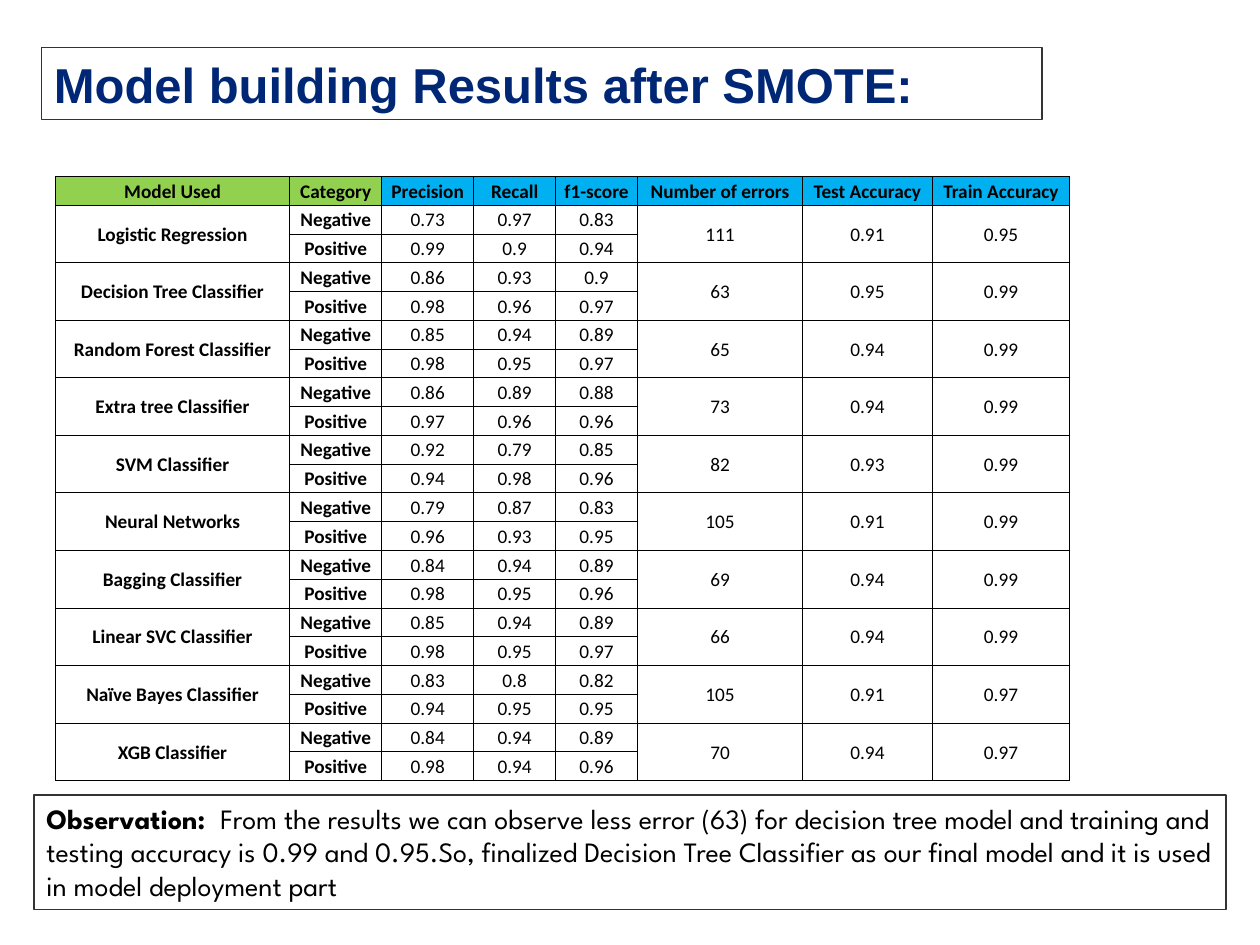
"""Build the slide of model results after SMOTE."""
from dataclasses import dataclass

from lxml.etree import SubElement
from pptx import Presentation
from pptx.dml.color import RGBColor
from pptx.enum.shapes import MSO_SHAPE
from pptx.enum.text import MSO_ANCHOR, MSO_AUTO_SIZE, PP_ALIGN
from pptx.oxml.ns import qn
from pptx.util import Inches, Pt


@dataclass(frozen=True)
class Theme:
    navy: str = "002776"
    black: str = "000000"
    white: str = "FFFFFF"
    outline: str = "333333"
    green: str = "92D050"
    blue: str = "00B0F0"
    title_font: str = "Arial"
    table_font: str = "Calibri"
    note_font: str = "League Spartan"
    title_size: float = 28
    table_size: float = 11
    note_size: float = 16
    outline_width: float = 0.75
    border_width: float = 0.5


COLUMN_WIDTHS = [1.86, 0.73, 0.73, 0.65, 0.65, 1.31, 1.03, 1.09]
HEADERS = ["Model Used", "Category", "Precision", "Recall", "f1-score",
           "Number of errors", "Test Accuracy", "Train Accuracy"]
RESULTS = [
    ("Logistic Regression", "0.73 0.97 0.83", "0.99 0.9 0.94", "111 0.91 0.95"),
    ("Decision Tree Classifier", "0.86 0.93 0.9", "0.98 0.96 0.97", "63 0.95 0.99"),
    ("Random Forest Classifier", "0.85 0.94 0.89", "0.98 0.95 0.97", "65 0.94 0.99"),
    ("Extra tree Classifier", "0.86 0.89 0.88", "0.97 0.96 0.96", "73 0.94 0.99"),
    ("SVM Classifier", "0.92 0.79 0.85", "0.94 0.98 0.96", "82 0.93 0.99"),
    ("Neural Networks", "0.79 0.87 0.83", "0.96 0.93 0.95", "105 0.91 0.99"),
    ("Bagging Classifier", "0.84 0.94 0.89", "0.98 0.95 0.96", "69 0.94 0.99"),
    ("Linear SVC Classifier", "0.85 0.94 0.89", "0.98 0.95 0.97", "66 0.94 0.99"),
    ("Naïve Bayes Classifier", "0.83 0.8 0.82", "0.94 0.95 0.95", "105 0.91 0.97"),
    ("XGB Classifier", "0.84 0.94 0.89", "0.98 0.94 0.96", "70 0.94 0.97"),
]
LABEL_COLUMNS = 2
MERGED_COLUMNS = (0, 5, 6, 7)
OBSERVATION = (
    "From the results we can observe less error (63) for decision tree model "
    "and training and testing accuracy is 0.99 and 0.95.So, finalized Decision "
    "Tree Classifier as our final model and it is used in model deployment part"
)


class SlideBuilder:
    def __init__(self, slide, theme):
        self.slide = slide
        self.theme = theme

    def apply(self, target, formats):
        for name, value in formats.items():
            setattr(target, name, value)

    def run(self, paragraph, text, font, size, color, bold):
        run = paragraph.add_run()
        run.text = text
        self.apply(run.font, {"name": font, "size": Pt(size), "bold": bold})
        run.font.color.rgb = RGBColor.from_string(color)

    def box(self, bounds, runs, fill=None):
        shape = self.slide.shapes.add_shape(MSO_SHAPE.RECTANGLE, *map(Inches, bounds))
        shape.shadow.inherit = False
        self.fill(shape, fill)
        shape.line.color.rgb = RGBColor.from_string(self.theme.outline)
        shape.line.width = Pt(self.theme.outline_width)
        self.apply(shape.text_frame, {
            "word_wrap": True,
            "auto_size": MSO_AUTO_SIZE.SHAPE_TO_FIT_TEXT,
            "vertical_anchor": MSO_ANCHOR.TOP,
        })
        paragraph = shape.text_frame.paragraphs[0]
        paragraph.alignment = PP_ALIGN.LEFT
        for run in runs:
            self.run(paragraph, *run)

    def fill(self, target, color):
        if color is None:
            target.fill.background()
        else:
            target.fill.solid()
            target.fill.fore_color.rgb = RGBColor.from_string(color)

    def borders(self, cell):
        properties = cell._tc.get_or_add_tcPr()
        width = str(Pt(self.theme.border_width))
        for side in ("a:lnL", "a:lnR", "a:lnT", "a:lnB"):
            line = SubElement(properties, qn(side), w=width)
            solid = SubElement(line, qn("a:solidFill"))
            SubElement(solid, qn("a:srgbClr"), val=self.theme.black)

    def cell(self, cell, text, bold, fill):
        self.apply(cell, {
            "margin_left": Inches(0.01),
            "margin_right": Inches(0.01),
            "margin_top": Inches(0.01),
            "margin_bottom": 0,
            "vertical_anchor": MSO_ANCHOR.MIDDLE,
        })
        self.borders(cell)
        self.fill(cell, fill)
        paragraph = cell.text_frame.paragraphs[0]
        paragraph.alignment = PP_ALIGN.CENTER
        theme = self.theme
        self.run(paragraph, text, theme.table_font, theme.table_size, theme.black, bold)

    def table(self, bounds, rows, widths):
        frame = self.slide.shapes.add_table(len(rows), len(widths), *map(Inches, bounds))
        table = frame.table
        for column, width in zip(table.columns, widths):
            column.width = Inches(width)
        for row_index, values in enumerate(rows):
            table.rows[row_index].height = Inches(bounds[3] / len(rows))
            header = row_index == 0
            for column_index, text in enumerate(values):
                label = column_index < LABEL_COLUMNS
                header_fill = self.theme.green if label else self.theme.blue
                self.cell(table.cell(row_index, column_index), text,
                          header or label, header_fill if header else None)
        for row_index in range(1, len(rows), 2):
            for column_index in MERGED_COLUMNS:
                table.cell(row_index, column_index).merge(
                    table.cell(row_index + 1, column_index))


def table_rows():
    rows = [HEADERS]
    for model, negative, positive, totals in RESULTS:
        rows.append([model, "Negative", *negative.split(), *totals.split()])
        rows.append(["", "Positive", *positive.split(), "", "", ""])
    return rows


def main():
    presentation = Presentation()
    presentation.slide_width = Inches(10)
    presentation.slide_height = Inches(7.5)
    theme = Theme()
    slide = presentation.slides.add_slide(presentation.slide_layouts[6])
    builder = SlideBuilder(slide, theme)
    builder.box((0.33, 0.38, 7.94, 0.57), [
        ("Model building Results after SMOTE:", theme.title_font, theme.title_size,
         theme.navy, True),
    ], theme.white)
    note_style = (theme.note_font, theme.note_size, theme.black)
    builder.box((0.27, 6.31, 9.46, 0.91), [
        ("Observation:  ", *note_style, True),
        (OBSERVATION, *note_style, False),
    ])
    builder.table((0.44, 1.4, 8.06, 4.8), table_rows(), COLUMN_WIDTHS)
    presentation.save("out.pptx")


if __name__ == "__main__":
    main()
